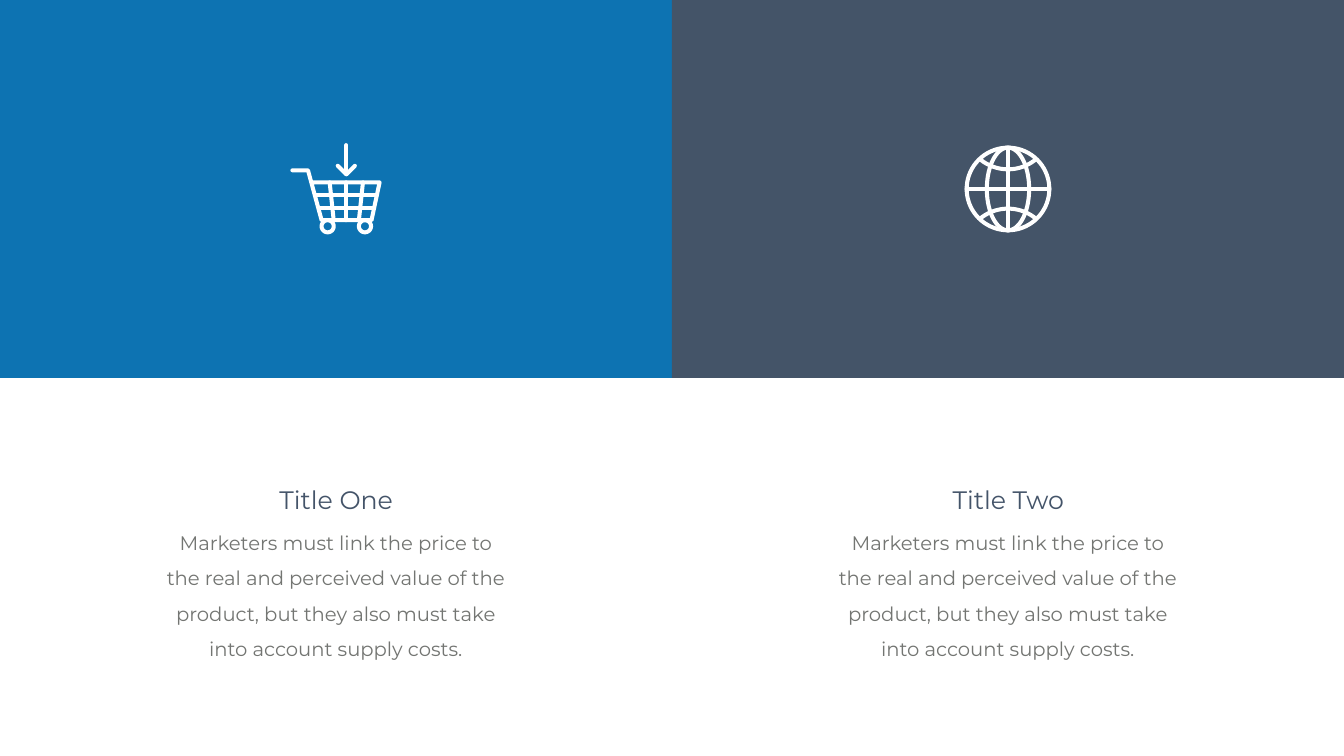
import math

from lxml import etree
from pptx import Presentation
from pptx.dml.color import RGBColor
from pptx.enum import shapes, text
from pptx.oxml.ns import qn
from pptx.util import Inches, Pt

BLUE = RGBColor(0x0D, 0x73, 0xB2)
SLATE = RGBColor(0x44, 0x54, 0x68)
TITLE = RGBColor(0x44, 0x54, 0x69)
GREY = RGBColor(0x73, 0x75, 0x72)
WHITE = RGBColor(0xFF, 0xFF, 0xFF)

PANEL_W, PANEL_H = 13.33, 7.5
BODY = ("Marketers must link the price to the real and perceived value of the "
        "product, but they also must take into account supply costs.")


def arc(cx, cy, rx, ry, start=0, end=360, steps=72):
    """Points along an elliptical arc, in degrees clockwise from the right."""
    angles = [math.radians(start + (end - start) * i / steps) for i in range(steps + 1)]
    return [(cx + rx * math.cos(a), cy + ry * math.sin(a)) for a in angles]


def globe_strokes(cx, cy):
    r, bow, reach = 0.82, 0.87, 1.26
    return [
        arc(cx, cy, r, r),
        arc(cx, cy, 0.42, r),
        [(cx - r, cy), (cx + r, cy)],
        [(cx, cy - r), (cx, cy + r)],
        arc(cx, cy - reach, bow, bow, 51, 129),
        arc(cx, cy + reach, bow, bow, 231, 309),
    ]


def cart_strokes():
    top, bottom, middle = 3.62, 4.37, 6.87
    basket = [(5.8, 3.38), (6.11, 3.38), (6.38, bottom), (7.37, bottom),
              (7.53, top), (6.2, top)]
    rows = [[(6.26, 3.87), (7.48, 3.87)], [(6.33, 4.12), (7.42, 4.12)]]
    columns = [[(middle + 0.33 * k, top), (middle + 0.25 * k, bottom)] for k in (-1, 0, 1)]
    wheels = [arc(x, 4.49, 0.12, 0.12) for x in (6.5, 7.24)]
    arrow = [[(middle, 2.88), (middle, 3.45)],
             [(middle - 0.17, 3.29), (middle, 3.46), (middle + 0.17, 3.29)]]
    return [basket, *rows, *columns, *wheels, *arrow]


class Deck:
    font = "Montserrat"
    stroke = Pt(5.75)

    def __init__(self, width, height):
        self.prs = Presentation()
        self.prs.slide_width, self.prs.slide_height = Inches(width), Inches(height)
        self.s = self.prs.slides.add_slide(self.prs.slide_layouts[6])
        self.s.background.fill.solid()
        self.s.background.fill.fore_color.rgb = WHITE

    def panel(self, x, y, w, h, color):
        sp = self.s.shapes.add_shape(shapes.MSO_SHAPE.RECTANGLE,
                                     Inches(x), Inches(y), Inches(w), Inches(h))
        sp.shadow.inherit = False
        sp.fill.solid()
        sp.fill.fore_color.rgb = color
        sp.line.fill.background()

    def icon(self, strokes):
        """Draw all strokes as one unfilled outline with round ends."""
        contours = [[(Inches(x), Inches(y)) for x, y in pts] for pts in strokes]
        fb = self.s.shapes.build_freeform(*contours[0][0])
        for i, pts in enumerate(contours):
            if i:
                fb.move_to(*pts[0])
            fb.add_line_segments(pts[1:], close=False)
        sp = fb.convert_to_shape()
        sp.shadow.inherit = False
        sp.fill.background()
        sp.line.color.rgb = WHITE
        sp.line.width = self.stroke
        ln = sp._element.spPr.find(qn("a:ln"))
        ln.set("cap", "rnd")
        etree.SubElement(ln, qn("a:round"))

    def text(self, content, x, y, w, h, *, parent, size, color, spacing=None):
        sp = parent.shapes.add_textbox(Inches(x), Inches(y), Inches(w), Inches(h))
        tf = sp.text_frame
        tf.word_wrap = True
        tf.auto_size = text.MSO_AUTO_SIZE.SHAPE_TO_FIT_TEXT
        p = tf.paragraphs[0]
        p.alignment = text.PP_ALIGN.CENTER
        p.line_spacing = spacing
        r = p.add_run()
        r.text = content
        r.font.name, r.font.size = self.font, Pt(size)
        r.font.color.rgb = color

    def caption(self, left, title, body):
        group = self.s.shapes.add_group_shape()
        self.text(title, left + 3.71, 9.55, 5.92, 0.71, parent=group, size=36, color=TITLE)
        self.text(body, left + 3.17, 10.25, 6.98, 2.85, parent=group, size=28,
                  color=GREY, spacing=1.5)


def main():
    deck = Deck(2 * PANEL_W, 2 * PANEL_H)
    for i, color in enumerate((BLUE, SLATE)):
        deck.panel(i * PANEL_W, 0, PANEL_W, PANEL_H, color)
    deck.icon(globe_strokes(1.5 * PANEL_W, PANEL_H / 2))
    deck.icon(cart_strokes())
    for i, title in enumerate(("Title One", "Title Two")):
        deck.caption(i * PANEL_W, title, BODY)
    deck.prs.save("out.pptx")


if __name__ == "__main__":
    main()
